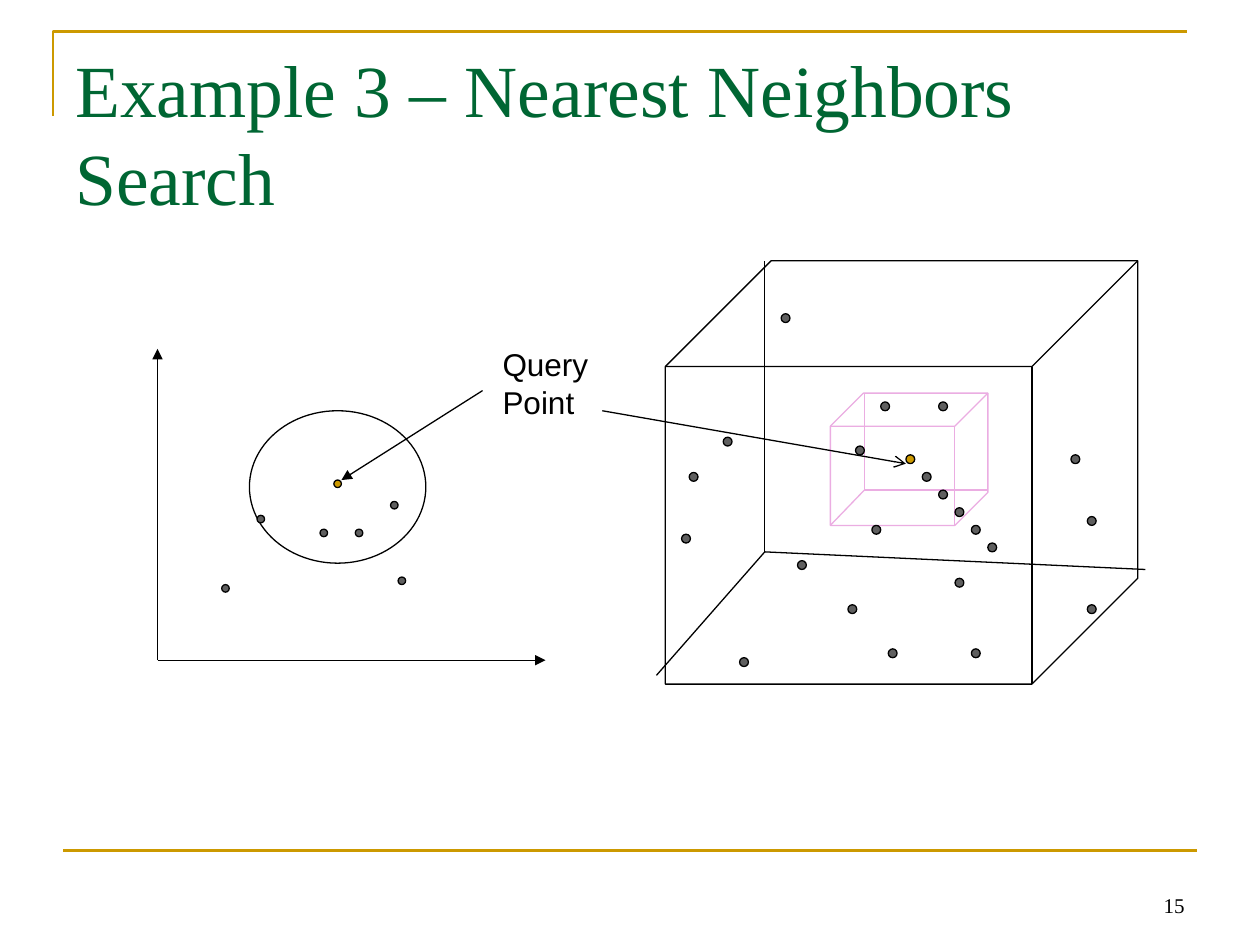
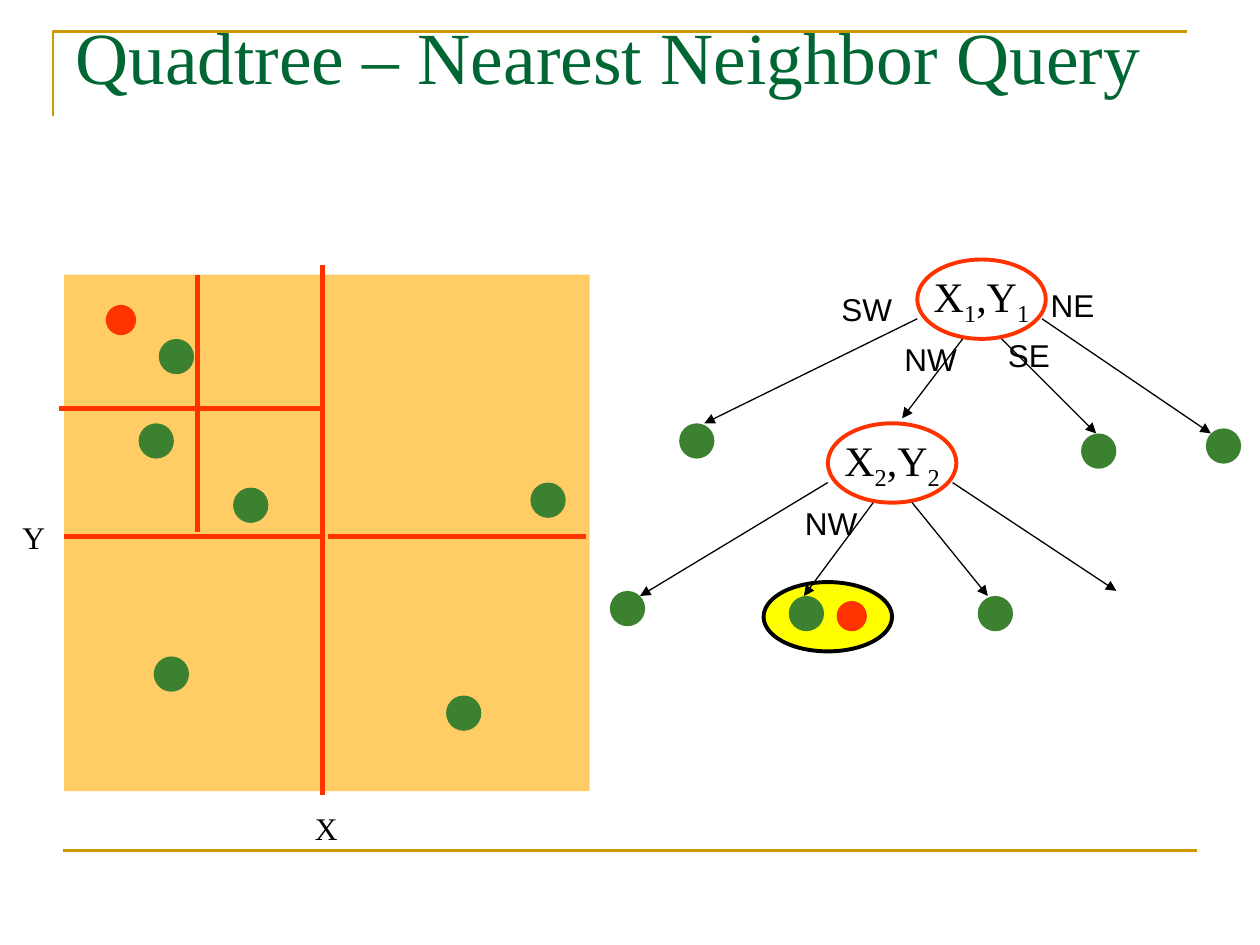
import pptx
import pptx.dml.color
import pptx.enum.shapes
import pptx.enum.text
import pptx.oxml.ns
import pptx.util
from lxml import etree

Inches = pptx.util.Inches
Pt = pptx.util.Pt
SHAPE = pptx.enum.shapes.MSO_SHAPE
ALIGN = pptx.enum.text.PP_ALIGN
ANCHOR = pptx.enum.text.MSO_ANCHOR

SERIF, SANS = "Times New Roman", "Arial"
BLACK, GOLD, TITLE_GREEN = "000000", "CC9900", "006633"
GRAY, PINK = "5F5F5F", "EBADE2"
SAND, RED, GREEN, YELLOW = "FFCC66", "FF3300", "3B812F", "FFFF00"

PLANE_DOT, SPACE_DOT = (0.06, 0.06), (0.07, 0.07)
LEAF, QUERY = (0.28, 0.28), (0.24, 0.24)
NODE = (1.02, 0.63)

PLANE_POINTS = [(1.76, 4.64), (3.16, 4.58), (2.04, 4.09), (3.1, 3.98),
                (2.82, 4.2), (2.54, 4.2)]
SPACE_POINTS = [(7.32 + 0.13 * i, 3.75 + 0.14 * i) for i in range(5)] + [
    (6.99, 3.19), (7.45, 3.19), (8.5, 3.61), (6.92, 4.17), (6.79, 3.54),
    (5.74, 3.47), (6.33, 4.45), (7.05, 5.15), (5.47, 3.75), (5.41, 4.24),
    (8.63, 4.8), (8.63, 4.1), (6.73, 4.8), (6.2, 2.49), (7.71, 5.15),
    (5.87, 5.22), (7.58, 4.59)]
MAP_POINTS = [(1.22, 5.21), (1.1, 3.36), (1.26, 2.69), (1.85, 3.87),
              (3.54, 5.52), (4.21, 3.83)]
SPLITS = [((2.56, 2.1), (2.56, 6.31)), ((0.51, 4.26), (2.56, 4.26)),
          ((1.57, 2.18), (1.57, 4.22)), ((0.47, 3.24), (2.56, 3.24)),
          ((2.6, 4.26), (4.65, 4.26))]
TREE_LEAVES = [(5.39, 3.36), (8.58, 3.44), (9.57, 3.4), (4.84, 4.69),
               (6.26, 4.73), (7.76, 4.73)]
BRANCH_LABELS = [("NW", 6.29, 3.95), ("NW", 7.08, 2.65), ("SE", 7.9, 2.62),
                 ("NE", 8.24, 2.22), ("SW", 6.58, 2.25)]


def rgb(value):
    return pptx.dml.color.RGBColor.from_string(value)


def set_line(sp, color, width):
    if color is None:
        sp.line.fill.background()
    else:
        sp.line.color.rgb = rgb(color)
        sp.line.width = Pt(width)


def add_run(p, text, size=18, font=SERIF, color=BLACK, baseline=None):
    r = p.add_run()
    r.text = text
    r.font.size = Pt(size)
    r.font.name = font
    r.font.color.rgb = rgb(color)
    if baseline is not None:
        r.font._element.set("baseline", str(baseline))


def add_text(s, text, x, y, w, h, align=ALIGN.LEFT, anchor=ANCHOR.TOP, **font):
    sp = s.shapes.add_textbox(Inches(x), Inches(y), Inches(w), Inches(h))
    tf = sp.text_frame
    tf.word_wrap = True
    tf.vertical_anchor = anchor
    p = tf.paragraphs[0]
    p.alignment = align
    for i, row in enumerate(text.split("\n")):
        if i:
            p.add_line_break()
        add_run(p, row, **font)


def add_preset(s, kind, at, size, fill=None, line=None, width=0.75):
    sp = s.shapes.add_shape(kind, *(Inches(v) for v in (*at, *size)))
    sp.shadow.inherit = False
    if fill is None:
        sp.fill.background()
    else:
        sp.fill.solid()
        sp.fill.fore_color.rgb = rgb(fill)
    set_line(sp, line, width)
    return sp


def add_line(s, start, end, color=BLACK, width=0.75, arrow=None):
    sp = s.shapes.add_connector(pptx.enum.shapes.MSO_CONNECTOR.STRAIGHT,
                                *(Inches(v) for v in (*start, *end)))
    set_line(sp, color, width)
    qn = pptx.oxml.ns.qn
    if arrow:
        etree.SubElement(sp.line._get_or_add_ln(), qn("a:tailEnd"), type=arrow)
    etree.SubElement(sp._element.spPr, qn("a:effectLst"))


def add_dots(s, points, size, fill, kind=SHAPE.OVAL, line=None):
    for point in points:
        add_preset(s, kind, point, size, fill, line)


def add_data_points(s, points, size, fill=GRAY):
    add_dots(s, points, size, fill, SHAPE.FLOWCHART_CONNECTOR, BLACK)


def add_wire_box(s, at, size, color, corner, edge_ends):
    sp = add_preset(s, SHAPE.CUBE, at, size, line=color)
    sp.adjustments[0] = 0.25
    for end in edge_ends:
        add_line(s, corner, end, color)


def add_tree_node(s, x, y, index, targets):
    sp = add_preset(s, SHAPE.OVAL, (x, y), NODE, line=RED, width=2.25)
    tf = sp.text_frame
    tf.word_wrap = False
    tf.vertical_anchor = ANCHOR.MIDDLE
    p = tf.paragraphs[0]
    p.alignment = ALIGN.CENTER
    for letter in ("X", ",Y"):
        add_run(p, letter, size=24)
        add_run(p, index, size=24, baseline=-25000)
    exits = [(0, 0.47), (0.36, 0.63), (0.67, 0.63), (0.99, 0.47)]
    for (dx, dy), target in zip(exits, targets):
        add_line(s, (x + dx, y + dy), target, arrow="triangle")


def add_frame_slide(prs):
    s = prs.slides.add_slide(prs.slide_layouts[6])
    fb = s.shapes.build_freeform(Inches(0.42), Inches(0.92))
    fb.add_line_segments([(Inches(0.42), Inches(0.25)),
                          (Inches(9.42), Inches(0.25))], close=False)
    sp = fb.convert_to_shape()
    sp.shadow.inherit = False
    sp.fill.background()
    set_line(sp, GOLD, 1.5)
    add_line(s, (0.5, 6.75), (9.5, 6.75), GOLD, 1.5)
    return s


def add_title(s, text, y, w):
    add_text(s, text, 0.5, y, w, 1.25, size=42, color=TITLE_GREEN)


def build_neighbors_search(prs):
    s = add_frame_slide(prs)
    add_title(s, "Example 3 – Nearest Neighbors Search", 0.3, 9.15)
    add_text(s, "15", 7.17, 6.83, 2.33, 0.5, align=ALIGN.RIGHT,
             anchor=ANCHOR.BOTTOM, size=12)

    for axis_end in ((1.25, 2.77), (4.33, 5.24)):
        add_line(s, (1.25, 5.24), axis_end, arrow="triangle")
    add_preset(s, SHAPE.OVAL, (1.98, 3.26), (1.4, 1.21), line=BLACK)
    add_data_points(s, [(2.65, 3.81)], PLANE_DOT, GOLD)
    add_data_points(s, PLANE_POINTS, PLANE_DOT)
    add_line(s, (3.83, 3.1), (2.71, 3.81), arrow="triangle")
    add_text(s, "Query\nPoint", 3.89, 2.69, 0.9, 0.7, font=SANS)

    add_wire_box(s, (5.28, 2.07), (3.75, 3.36), BLACK, (6.07, 4.38),
                 [(6.07, 2.07), (5.21, 5.36), (9.09, 4.52)])
    add_data_points(s, [(7.19, 3.61)], SPACE_DOT, GOLD)
    add_wire_box(s, (6.59, 3.12), (1.25, 1.05), PINK, (6.86, 3.89),
                 [(6.86, 3.12), (6.59, 4.17), (7.84, 3.89)])
    add_data_points(s, SPACE_POINTS, SPACE_DOT)
    add_line(s, (4.78, 3.26), (7.19, 3.68), arrow="arrow")


def build_quadtree_query(prs):
    s = add_frame_slide(prs)
    add_preset(s, SHAPE.OVAL, (6.06, 4.62), (1.02, 0.55), YELLOW, BLACK, 2.25)
    add_title(s, "Quadtree – Nearest Neighbor Query", 0.04, 9)

    add_preset(s, SHAPE.RECTANGLE, (0.51, 2.18), (4.17, 4.1), SAND)
    add_dots(s, MAP_POINTS, LEAF, GREEN)
    for start, end in SPLITS:
        add_line(s, start, end, RED, 3)
    add_text(s, "X", 2.4, 6.37, 0.4, 0.4)
    add_text(s, "Y", 0.08, 4.06, 0.4, 0.4)

    add_dots(s, [(6.64, 4.77), (0.84, 2.42)], QUERY, RED)
    add_tree_node(s, 7.28, 2.06, "1",
                  [(5.59, 3.36), (7.16, 3.32), (8.7, 3.44), (9.61, 3.44)])
    add_tree_node(s, 6.57, 3.36, "2",
                  [(5.08, 4.73), (6.38, 4.73), (7.84, 4.73), (8.86, 4.69)])
    add_dots(s, TREE_LEAVES, LEAF, GREEN)
    for text, x, y in BRANCH_LABELS:
        add_text(s, text, x, y, 0.65, 0.4, font=SANS)


def main():
    prs = pptx.Presentation()
    prs.slide_width = Inches(10)
    prs.slide_height = Inches(7.5)
    build_neighbors_search(prs)
    build_quadtree_query(prs)
    prs.save("out.pptx")


if __name__ == "__main__":
    main()
